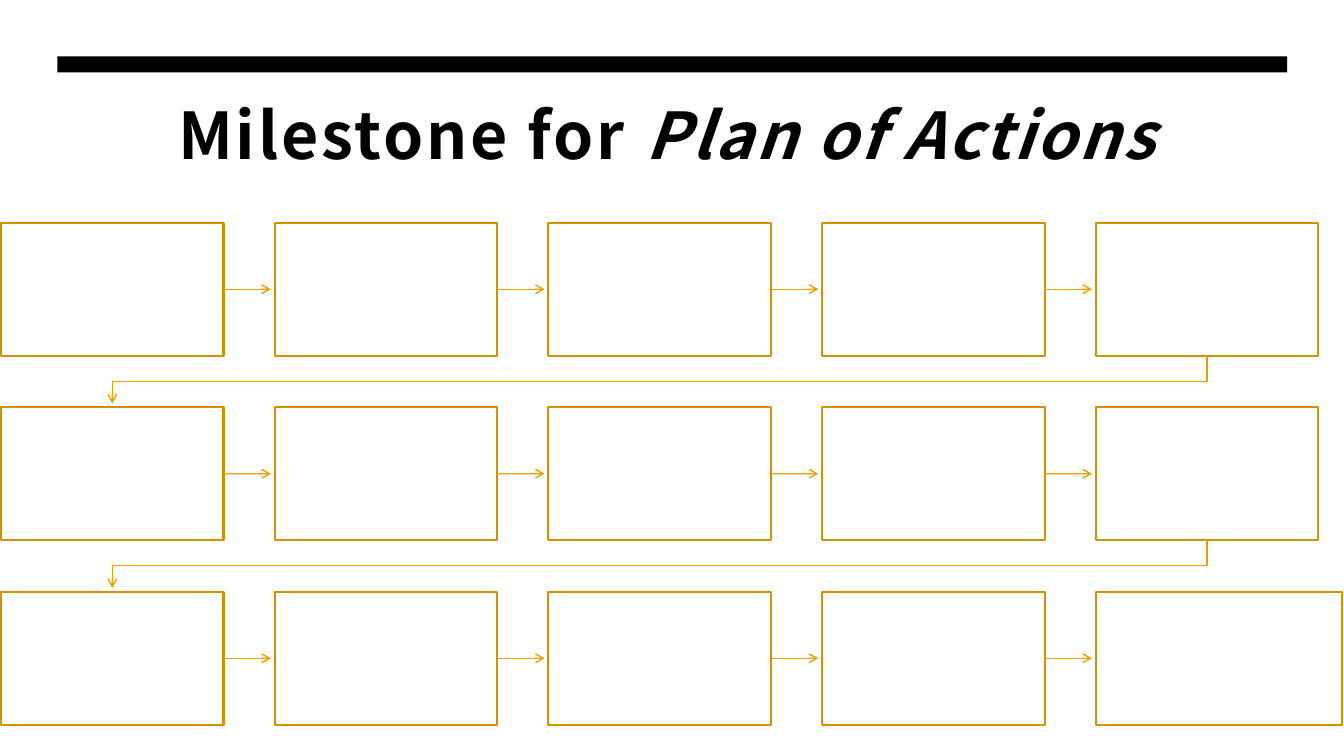
"""Build a milestone slide with three rows of linked, empty plan boxes."""
from lxml import etree
from pptx import Presentation
from pptx.dml.color import RGBColor
from pptx.enum.shapes import MSO_CONNECTOR, MSO_SHAPE
from pptx.enum.text import MSO_ANCHOR, MSO_AUTO_SIZE, PP_ALIGN
from pptx.oxml.ns import qn
from pptx.util import Pt

RECTANGLE = MSO_SHAPE.RECTANGLE
STRAIGHT = MSO_CONNECTOR.STRAIGHT
TOP = MSO_ANCHOR.TOP
NO_AUTOFIT = MSO_AUTO_SIZE.NONE
CENTER = PP_ALIGN.CENTER
COLORS = {"white": "FFFFFF", "black": "000000", "box": "D59100", "arrow": "EBA000"}
ROWS, COLUMNS = 3, 5
GRID_LEFT, GRID_TOP = 0.7, 159.1
COLUMN_PITCH, ROW_PITCH = 195.5, 131.8
BOX_WIDTH, LAST_BOX_WIDTH, BOX_HEIGHT = 159, 175.7, 95
ARROW_GAP, TURN_DROP = 2.7, 18.2


def add_rectangle(left, top, width, height, fill):
    shape = slide.shapes.add_shape(RECTANGLE, Pt(left), Pt(top), Pt(width), Pt(height))
    shape.shadow.inherit = False
    shape.fill.solid()
    shape.fill.fore_color.rgb = RGBColor.from_string(COLORS[fill])
    shape.line.fill.background()
    return shape


def style_arrow(arrow):
    arrow.line.color.rgb = RGBColor.from_string(COLORS["arrow"])
    arrow.line.width = Pt(1)
    line = arrow.line._get_or_add_ln()
    etree.SubElement(line, qn("a:tailEnd"), type="arrow")
    properties = arrow._element.spPr
    if properties.find(qn("a:effectLst")) is None:
        etree.SubElement(properties, qn("a:effectLst"))


presentation = Presentation()
presentation.slide_width, presentation.slide_height = Pt(960), Pt(540)
slide = presentation.slides.add_slide(presentation.slide_layouts[5])
slide.background.fill.solid()
slide.background.fill.fore_color.rgb = RGBColor.from_string(COLORS["white"])

title = slide.shapes.title
title_place = {"left": 41, "top": 65.5, "width": 870.5, "height": 115.2}
for name, value in title_place.items():
    setattr(title, name, Pt(value))
frame_format = {
    "margin_left": Pt(8.6), "margin_top": Pt(8.6), "margin_right": Pt(8.6),
    "margin_bottom": Pt(7.2), "vertical_anchor": TOP, "word_wrap": True,
    "auto_size": NO_AUTOFIT,
}
for name, value in frame_format.items():
    setattr(title.text_frame, name, value)
paragraph = title.text_frame.paragraphs[0]
paragraph.alignment = CENTER
paragraph.line_spacing = 0.9
for text, italic in (("Milestone for ", False), ("Plan of Actions", True)):
    run = paragraph.add_run()
    run.text = text
    run_format = {"name": "Noto Sans CJK SC", "size": Pt(46), "bold": True, "italic": italic}
    for name, value in run_format.items():
        setattr(run.font, name, value)
    run.font.color.rgb = RGBColor.from_string(COLORS["black"])
    run._r.get_or_add_rPr().set("spc", "200")

add_rectangle(41, 40.3, 878.4, 11.5, "black")

for row in range(ROWS):
    top = GRID_TOP + row * ROW_PITCH
    middle = top + BOX_HEIGHT / 2
    for column in range(COLUMNS):
        left = GRID_LEFT + column * COLUMN_PITCH
        is_last = row == ROWS - 1 and column == COLUMNS - 1
        width = LAST_BOX_WIDTH if is_last else BOX_WIDTH
        box = add_rectangle(left, top, width, BOX_HEIGHT, "white")
        box.line.color.rgb = RGBColor.from_string(COLORS["box"])
        box.line.width = Pt(1.5)
        if column < COLUMNS - 1:
            arrow_end = left + COLUMN_PITCH - ARROW_GAP
            arrow = slide.shapes.add_connector(
                STRAIGHT, Pt(left + BOX_WIDTH), Pt(middle), Pt(arrow_end), Pt(middle))
            arrow.begin_connect(box, 3)
            style_arrow(arrow)
    if row < ROWS - 1:
        first_center = GRID_LEFT + BOX_WIDTH / 2
        last_center = first_center + (COLUMNS - 1) * COLUMN_PITCH
        bottom = top + BOX_HEIGHT
        turn = bottom + TURN_DROP
        builder = slide.shapes.build_freeform(Pt(last_center), Pt(bottom))
        builder.add_line_segments([
            (Pt(last_center), Pt(turn)),
            (Pt(first_center), Pt(turn)),
            (Pt(first_center), Pt(top + ROW_PITCH - ARROW_GAP)),
        ], close=False)
        return_arrow = builder.convert_to_shape()
        return_arrow.fill.background()
        style_arrow(return_arrow)

presentation.save("out.pptx")
